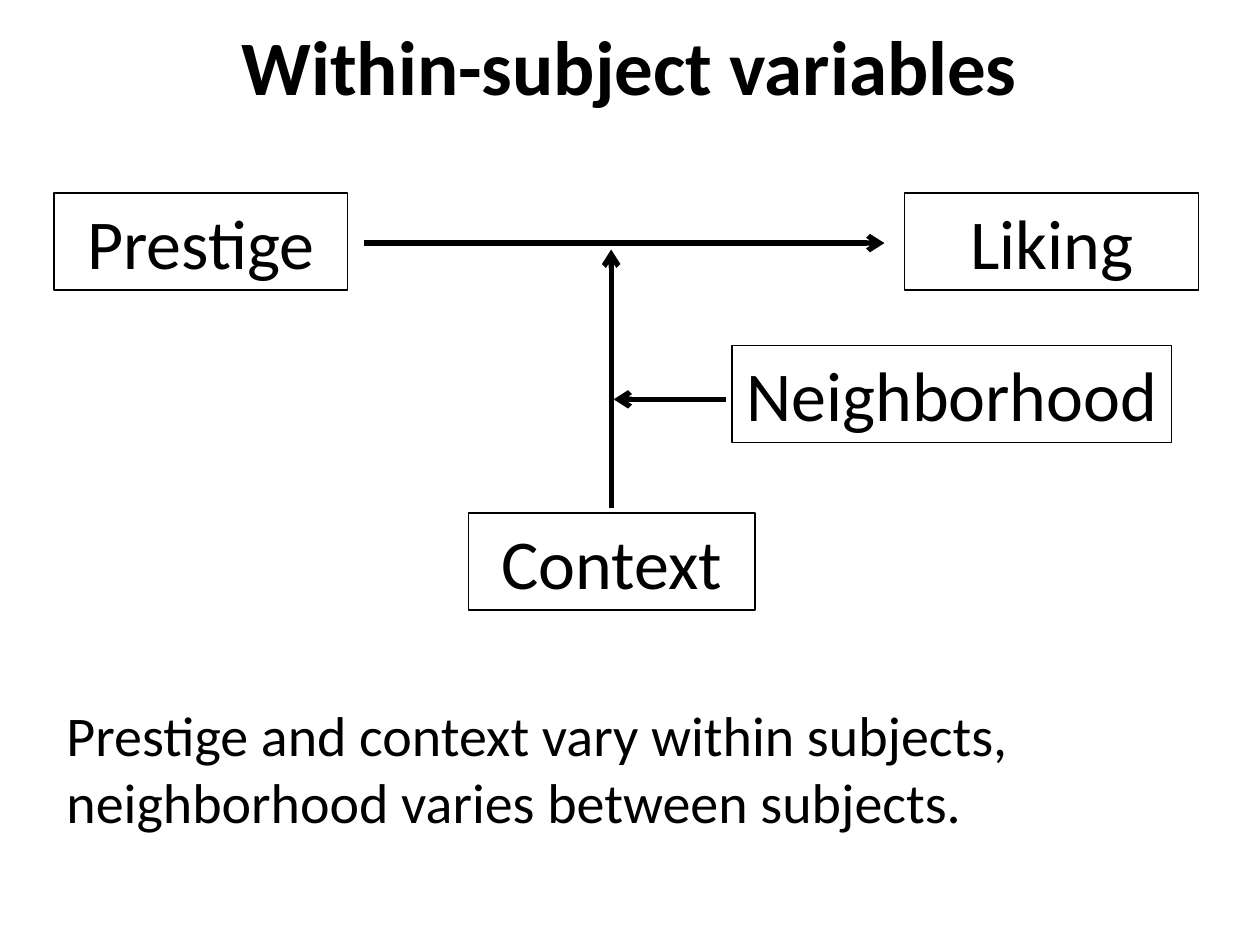
"""Build a slide showing a moderation diagram of within-subject variables."""
from lxml.etree import SubElement
from pptx import Presentation
from pptx.dml.color import RGBColor
from pptx.enum.shapes import MSO_CONNECTOR, MSO_SHAPE
from pptx.enum.text import MSO_ANCHOR as Anchor, PP_ALIGN as Align
from pptx.oxml.ns import qn
from pptx.util import Cm, Pt


def color(hex_text):
    return RGBColor.from_string(hex_text)


def write(shape, text, align, anchor, wrap, font_format):
    frame = shape.text_frame
    frame.text = text
    frame.word_wrap = wrap
    frame.vertical_anchor = anchor
    para = frame.paragraphs[0]
    para.alignment = align
    span = para.runs[0]
    span.font.color.rgb = color("000000")
    for name, value in {"name": "Calibri", **font_format}.items():
        setattr(span.font, name, value)


deck = Presentation()
deck.slide_width, deck.slide_height = Cm(25.4), Cm(19.05)
page = deck.slides.add_slide(deck.slide_layouts[5])

title = page.shapes.title
title_place = {"left": 0, "top": -0.05, "width": 25.4, "height": 2.69}
for name, value in title_place.items():
    setattr(title, name, Cm(value))
write(title, "Within-subject variables", Align.CENTER, Anchor.MIDDLE, True,
      {"size": Pt(44), "bold": True})

summary = page.shapes.add_textbox(Cm(1.09), Cm(14), Cm(23.7), Cm(2.97))
write(summary,
      "Prestige and context vary within subjects, neighborhood varies between subjects.",
      Align.LEFT, Anchor.TOP, True, {"size": Pt(32)})

box_height = 1.96
variables = [
    ("Prestige", 1.09, 3.89, 5.92),
    ("Liking", 18.24, 3.89, 5.92),
    ("Context", 9.45, 10.34, 5.77),
    ("Neighborhood", 14.76, 6.96, 8.86),
]
for label, left, top, width in variables:
    box = page.shapes.add_shape(
        MSO_SHAPE.RECTANGLE, Cm(left), Cm(top), Cm(width), Cm(box_height))
    box.shadow.inherit = False
    box.fill.background()
    box.line.color.rgb = color("000000")
    box.line.width = Pt(0.75)
    write(box, label, Align.CENTER, Anchor.TOP, False, {"size": Pt(40)})

effects = [
    (7.34, 4.9, 17.83, 4.9),
    (12.32, 10.24, 12.32, 5.03),
    (14.63, 8.05, 12.37, 8.05),
]
for ends in effects:
    arrow = page.shapes.add_connector(MSO_CONNECTOR.STRAIGHT, *map(Cm, ends))
    arrow.line.color.rgb = color("000000")
    arrow.line.width = Pt(3)
    SubElement(arrow.line._get_or_add_ln(), qn("a:tailEnd"), type="arrow")
    SubElement(arrow._element.spPr, qn("a:effectLst"))

deck.save("out.pptx")
